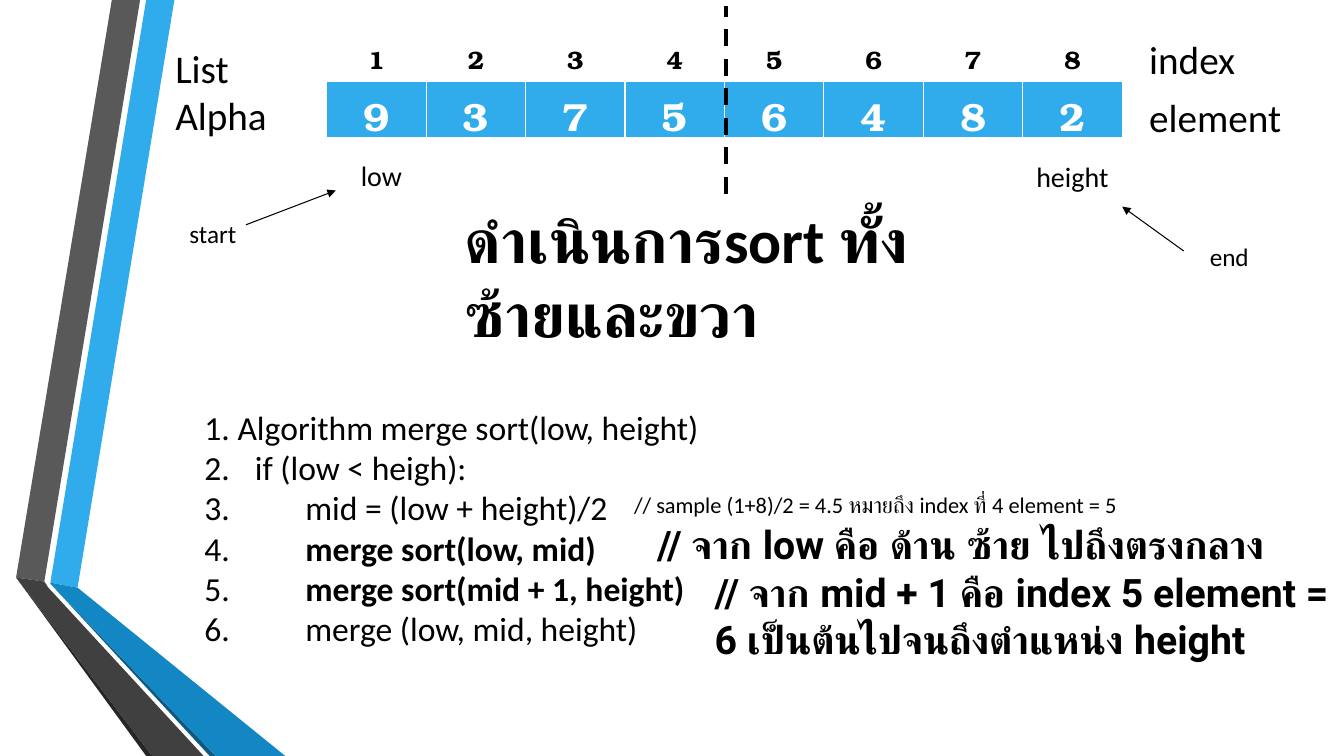
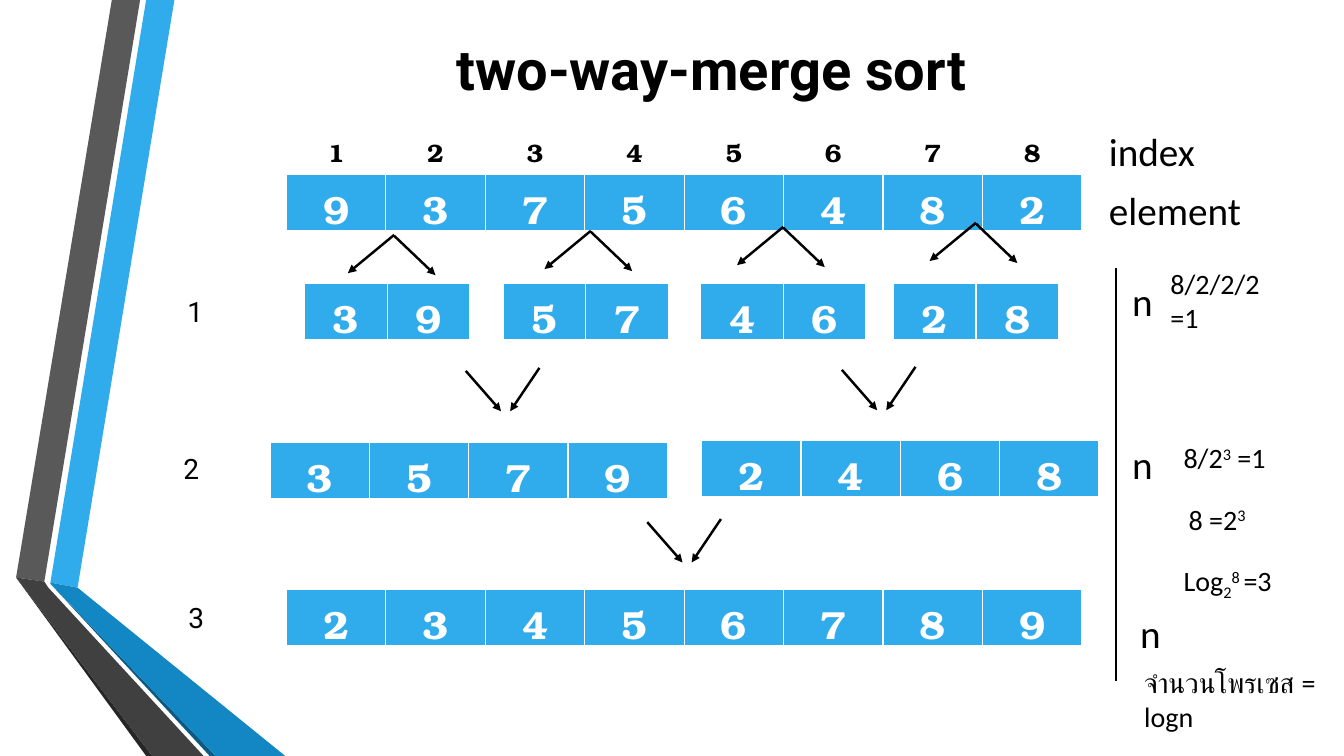
from pptx import Presentation
from pptx.dml.color import RGBColor
from pptx.enum.dml import MSO_LINE
from pptx.enum.shapes import MSO_CONNECTOR
from pptx.enum.text import MSO_ANCHOR, PP_ALIGN
from pptx.oxml.ns import qn
from pptx.util import Inches, Pt
from lxml.etree import Element, SubElement

BLACK = RGBColor(0x00, 0x00, 0x00)
WHITE = RGBColor(0xFF, 0xFF, 0xFF)
SKY = RGBColor(0x30, 0xAC, 0xEC)
BLUE = RGBColor(0x12, 0x87, 0xC3)
NAVY = RGBColor(0x0C, 0x5A, 0x82)
GRAY = RGBColor(0x59, 0x59, 0x59)
DARK = RGBColor(0x40, 0x40, 0x40)
INK = RGBColor(0x26, 0x26, 0x26)

SANS, HEAD, SERIF = "Calibri", "Roboto", "TeX Gyre Bonum"

# Side ribbon: colour and corners of each band
BANDS = [
    (SKY, [(0.5, 5.78), (0.77, 5.83), (1.73, 0), (1.45, 0)]),
    (GRAY, [(1.39, 0), (1.11, 0), (0.16, 5.73), (0.44, 5.77)]),
    (INK, [(0.16, 5.73), (1.45, 7.5), (1.51, 7.5)]),
    (NAVY, [(0.5, 5.79), (2.08, 7.5), (2.14, 7.5)]),
    (BLUE, [(0.5, 5.79), (2.14, 7.5), (2.83, 7.5), (0.77, 5.83),
            (0.5, 5.78)]),
    (DARK, [(2.02, 7.5), (0.48, 5.83), (0.44, 5.77), (0.16, 5.73),
            (1.51, 7.5)]),
]


def assign(item, values):
    for name, value in values.items():
        setattr(item, name, value)


def add_run(para, text, size, font=SANS, bold=False, color=BLACK, base=0):
    run = para.add_run()
    run.text = text
    assign(run.font, {"size": Pt(size), "name": font, "bold": bold})
    run.font.color.rgb = color
    if base:
        run._r.get_or_add_rPr().set("baseline", str(base * 1000))


def add_text(slide, box, lines, size, align=PP_ALIGN.LEFT, tabs=(), **look):
    """Each line is a string or a list of (text, changed look) pairs."""
    frame = slide.shapes.add_textbox(*map(Inches, box)).text_frame
    assign(frame, {"word_wrap": True, "vertical_anchor": MSO_ANCHOR.MIDDLE})
    for num, line in enumerate([lines] if isinstance(lines, str) else lines):
        para = frame.add_paragraph() if num else frame.paragraphs[0]
        para.alignment = align
        if tabs:
            stops = SubElement(para._p.get_or_add_pPr(), qn("a:tabLst"))
            for stop in tabs:
                SubElement(stops, qn("a:tab"), pos=str(Inches(stop)), algn="l")
        for text, extra in [(line, {})] if isinstance(line, str) else line:
            add_run(para, text, size, **{**look, **extra})


def add_edges(cell):
    props = cell._tc.get_or_add_tcPr()
    for spot, (side, width) in enumerate(
            [("L", 1), ("R", 1), ("T", 1), ("B", 3)]):
        edge = Element(qn("a:ln" + side), w=str(Pt(width)))
        fill = SubElement(edge, qn("a:solidFill"))
        SubElement(fill, qn("a:srgbClr"), val=str(WHITE))
        props.insert(spot, edge)


def add_cells(slide, left, top, width, values, height=0.57, size=28,
              color=WHITE, fill=SKY):
    box = map(Inches, (left, top, width, height))
    table = slide.shapes.add_table(1, len(values), *box).table
    assign(table, {"first_row": False, "horz_banding": False})
    for col, value in enumerate(values):
        table.columns[col].width = Inches(width / len(values))
        cell = table.cell(0, col)
        if fill is None:
            cell.fill.background()
        else:
            cell.fill.solid()
            cell.fill.fore_color.rgb = fill
        add_edges(cell)
        para = cell.text_frame.paragraphs[0]
        para.alignment = PP_ALIGN.CENTER
        add_run(para, str(value), size, SERIF, True, color)


def add_list(slide, left, top):
    """Numbered list with its row labels on the right."""
    add_cells(slide, left, top + 0.46, 7.89, "93756482")
    add_cells(slide, left, top, 7.89, range(1, 9), 0.41, 18, BLACK, None)
    for label, drop in (("index", -0.02), ("element", 0.56)):
        add_text(slide, (left + 8.06, top + drop, 1.6, 0.5), label, 28)


def add_line(slide, start, end, width, arrow=True, dash=None):
    link = slide.shapes.add_connector(
        MSO_CONNECTOR.STRAIGHT, *map(Inches, (*start, *end)))
    link.line.color.rgb = BLACK
    assign(link.line, {"width": Pt(width), "dash_style": dash})
    if arrow:
        SubElement(link.line._get_or_add_ln(), qn("a:tailEnd"),
                   type="triangle")
    SubElement(link._element.spPr, qn("a:effectLst"))


def add_fork(slide, x, y):
    add_line(slide, (x, y), (x - 0.46, y + 0.38), 1.75)
    add_line(slide, (x, y + 0.01), (x + 0.41, y + 0.4), 1.75)


def add_join(slide, x, y):
    add_line(slide, (x, y), (x + 0.35, y + 0.4), 1.75)
    add_line(slide, (x + 0.73, y - 0.03), (x + 0.44, y + 0.4), 1.75)


def new_slide(deck):
    slide = deck.slides.add_slide(deck.slide_layouts[6])
    for color, points in BANDS:
        first, *rest = [(Inches(x), Inches(y)) for x, y in points]
        path = slide.shapes.build_freeform(*first)
        path.add_line_segments(rest, close=True)
        band = path.convert_to_shape()
        band.shadow.inherit = False
        band.fill.solid()
        band.fill.fore_color.rgb = color
        band.line.fill.background()
    return slide


def split_slide(deck):
    slide = new_slide(deck)
    add_text(slide, (1.64, 0.44, 1.6, 0.94), ["List", "Alpha"], 28)
    add_list(slide, 3.24, 0.35)

    # Algorithm
    bold = {"bold": True}
    add_text(slide, (1.93, 3.75, 5.36, 2.97), [
        "1. Algorithm merge sort(low, height)",
        "2.\tif (low < heigh):",
        "3.\t\tmid = (low + height)/2 ",
        [("4.\t\t", {}), ("merge sort(low, mid)", bold)],
        [("5.\t\t", {}), ("merge sort(mid + 1, height)", bold)],
        "6.\t\tmerge (low, mid, height)",
    ], 24, tabs=(0.5, 1))

    # Ends of the list
    for box, text, size in [
        ((3.48, 1.45, 0.7, 0.58), "low", 20),
        ((1.78, 2.1, 0.88, 0.43), "start", 18),
        ((10.18, 1.46, 0.96, 0.57), "height", 20),
        ((11.9, 2.33, 0.78, 0.43), "end", 18),
    ]:
        add_text(slide, box, text, size)
    add_line(slide, (2.44, 2.23), (3.33, 1.89), 0.75)
    add_line(slide, (11.74, 2.49), (11.13, 2.05), 0.75)

    # Remarks
    add_text(slide, (6.42, 5.02, 6.34, 0.75),
             "// จาก low คือ ด้าน ซ้าย ไปถึงตรงกลาง ", 28,
             font=HEAD, bold=True)
    add_text(slide, (4.51, 2.32, 5.45, 0.84),
             "ดำเนินการsort ทั้งซ้ายและขวา", 44, bold=True)
    add_text(slide, (6.99, 5.73, 6.34, 0.75),
             "// จาก mid + 1 คือ index 5 element = 6 "
             "เป็นต้นไปจนถึงตำแหน่ง height", 28, font=HEAD, bold=True)
    add_text(slide, (6.19, 4.79, 6.34, 0.43),
             "// sample (1+8)/2 = 4.5 หมายถึง index ที่ 4 element = 5", 16)

    # Middle of the list
    add_line(slide, (7.2, 1.92), (7.2, 0.06), 3, False, MSO_LINE.DASH)


def merge_slide(deck):
    slide = new_slide(deck)
    add_text(slide, (4.17, 0.18, 5.91, 0.99), "two-way-merge sort ", 40,
             PP_ALIGN.CENTER, font=HEAD, bold=True)
    add_list(slide, 2.84, 1.27)

    # Merged lists of each pass
    for left, top, width, values in [
        (3.02, 2.81, 1.64, "39"), (4.99, 2.81, 1.64, "57"),
        (6.95, 2.81, 1.64, "46"), (8.86, 2.81, 1.64, "28"),
        (2.68, 4.39, 3.94, "3579"), (6.96, 4.37, 3.94, "2468"),
        (2.84, 5.85, 7.89, "23456789"),
    ]:
        add_cells(slide, left, top, width, values)
    for num, x in enumerate((3.91, 5.86, 7.77, 9.68)):
        add_fork(slide, x, 2.33 - 0.04 * num)
    for x, y in ((4.62, 3.68), (8.35, 3.67), (6.42, 5.18)):
        add_join(slide, x, y)

    # Pass numbers and cost of each pass
    for num, (x, y) in enumerate([(1.76, 2.84), (1.72, 4.4), (1.77, 5.87)], 1):
        add_text(slide, (x, y, 0.29, 0.5), str(num), 20, font=HEAD)
    for x, y in ((11.13, 2.73), (11.13, 4.35), (11.21, 6.03)):
        add_text(slide, (x, y, 0.6, 0.5), "n", 28)
    add_line(slide, (11.07, 2.66), (11.07, 6.76), 1.25, False)

    # Number of passes
    sup, sub = {"base": 30}, {"base": -25}
    for x, y, line in [
        (11.51, 2.73, "8/2/2/2 =1"),
        (11.64, 4.29, [("8/2", {}), ("3", sup), (" =1", {})]),
        (11.69, 4.9, [("8 =2", {}), ("3", sup)]),
        (11.64, 5.53, [("Log", {}), ("2", sub), ("8 ", sup), ("=3", {})]),
    ]:
        add_text(slide, (x, y, 1.4, 0.5), [line], 20)
    add_text(slide, (11.25, 6.69, 2.08, 0.5), "จำนวนโพรเซส = logn", 20)


def main():
    deck = Presentation()
    assign(deck, {"slide_width": Inches(13.33), "slide_height": Inches(7.5)})
    split_slide(deck)
    merge_slide(deck)
    deck.save("out.pptx")


main()
